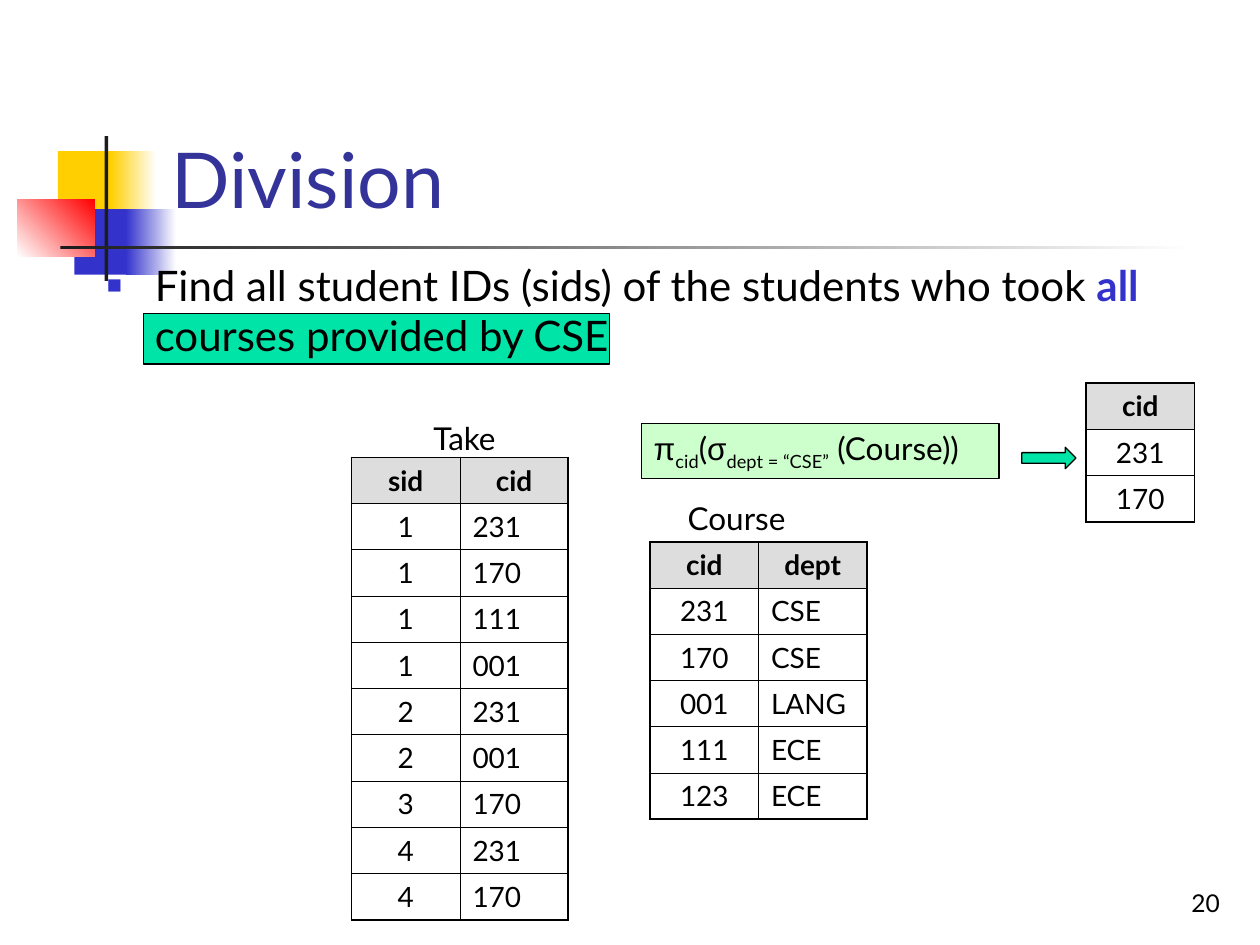
from dataclasses import dataclass
from typing import Optional

from lxml import etree
from pptx import Presentation
from pptx.dml.color import RGBColor
from pptx.enum.shapes import MSO_SHAPE
from pptx.enum.text import MSO_ANCHOR, MSO_AUTO_SIZE, PP_ALIGN
from pptx.oxml.ns import qn
from pptx.util import Inches, Pt

RECTANGLE, RIGHT_ARROW = MSO_SHAPE.RECTANGLE, MSO_SHAPE.RIGHT_ARROW
LEFT, CENTER, RIGHT = PP_ALIGN.LEFT, PP_ALIGN.CENTER, PP_ALIGN.RIGHT
TOP, BOTTOM = MSO_ANCHOR.TOP, MSO_ANCHOR.BOTTOM
NO_AUTOFIT = MSO_AUTO_SIZE.NONE


@dataclass(frozen=True)
class Theme:
    font: str = "Lato"
    greek_font: str = "Arial"
    black: str = "000000"
    white: str = "FFFFFF"
    title: str = "333399"
    blue: str = "3333CC"
    yellow: str = "FFCF01"
    red: str = "FF0000"
    charcoal: str = "1C1C1C"
    teal: str = "00E4A8"
    mint: str = "CCFFCC"
    header: str = "DDDDDD"
    title_size: float = 44
    body_size: float = 24
    label_size: float = 18
    cell_size: float = 16
    number_size: float = 14
    outline: float = 0.75
    outer_border: float = 1.08
    inner_border: float = 0.45


THEME = Theme()


@dataclass(frozen=True)
class Box:
    left: float
    top: float
    width: float
    height: float

    def lengths(self) -> tuple:
        return tuple(map(Inches, (self.left, self.top, self.width, self.height)))


@dataclass(frozen=True)
class Block:
    box: Box
    color: str
    fade_to: Optional[str] = None
    angle: float = 0
    outlined: bool = False
    preset: int = RECTANGLE


@dataclass(frozen=True)
class Span:
    text: str
    color: str = THEME.black
    bold: bool = False
    font: str = THEME.font
    subscript: bool = False


@dataclass(frozen=True)
class Relation:
    box: Box
    header: tuple
    rows: tuple


# Corner ornament and title rule
ORNAMENT = (
    Block(Box(0.46, 1.2, 0.48, 0.52), THEME.yellow),
    Block(Box(0.88, 1.2, 0.36, 0.52), THEME.yellow, THEME.white),
    Block(Box(0.59, 1.66, 0.46, 0.52), THEME.blue),
    Block(Box(1, 1.66, 0.4, 0.52), THEME.blue, THEME.white),
    Block(Box(0.14, 1.58, 0.61, 0.46), THEME.white, THEME.red, angle=45),
    Block(Box(0.83, 1.08, 0.03, 1.15), THEME.charcoal),
    Block(Box(0.48, 1.95, 9, 0.03), THEME.charcoal, THEME.white),
)
COURSES_HIGHLIGHT = Block(Box(1.14, 2.49, 3.7, 0.4), THEME.teal, outlined=True)
FORMULA_BOX = Block(Box(5.09, 3.36, 2.84, 0.44), THEME.mint, outlined=True)
RESULT_ARROW = Block(Box(8.11, 3.55, 0.43, 0.17), THEME.teal, outlined=True, preset=RIGHT_ARROW)

QUESTION = (
    Span("Find all student IDs (sids) of the students who took "),
    Span("all", THEME.blue, bold=True),
    Span(" courses provided by CSE"),
)
FORMULA = (
    Span("π", font=THEME.greek_font),
    Span("cid", subscript=True),
    Span("("),
    Span("σ", font=THEME.greek_font),
    Span("dept = “CSE”", subscript=True),
    Span(" (Course))"),
)
TAKE = Relation(Box(2.79, 3.63, 1.72, 3.67), ("sid", "cid"), (
    ("1", "231"), ("1", "170"), ("1", "111"), ("1", "001"), ("2", "231"),
    ("2", "001"), ("3", "170"), ("4", "231"), ("4", "170")))
COURSE = Relation(Box(5.16, 4.3, 1.72, 2.2), ("cid", "dept"), (
    ("231", "CSE"), ("170", "CSE"), ("001", "LANG"), ("111", "ECE"), ("123", "ECE")))
CSE_COURSES = Relation(Box(8.62, 3.04, 0.86, 1.1), ("cid",), (("231",), ("170",)))


def rgb(color: str) -> RGBColor:
    return RGBColor.from_string(color)


def draw_block(slide, block: Block):
    shape = slide.shapes.add_shape(block.preset, *block.box.lengths())
    shape.shadow.inherit = False
    if block.fade_to:
        shape.fill.gradient()
        shape.fill.gradient_angle = block.angle
        for stop, color in zip(shape.fill.gradient_stops, (block.color, block.fade_to)):
            stop.color.rgb = rgb(color)
    else:
        shape.fill.solid()
        shape.fill.fore_color.rgb = rgb(block.color)
    if block.outlined:
        shape.line.color.rgb = rgb(THEME.black)
        shape.line.width = Pt(THEME.outline)
    else:
        shape.line.fill.background()
    return shape


def write_spans(paragraph, spans: tuple, size: float, align=LEFT) -> None:
    paragraph.alignment = align
    for span in spans:
        run = paragraph.add_run()
        run.text = span.text
        run.font.name, run.font.size, run.font.bold = span.font, Pt(size), span.bold
        run.font.color.rgb = rgb(span.color)
        if span.subscript:
            run.font._element.set("baseline", "-25000")


def draw_text(slide, box: Box, spans: tuple, size: float, align=LEFT, anchor=TOP, wrap=True):
    frame = slide.shapes.add_textbox(*box.lengths()).text_frame
    frame.word_wrap = wrap
    frame.vertical_anchor = anchor
    write_spans(frame.paragraphs[0], spans, size, align)
    return frame.paragraphs[0]


def add_square_bullet(paragraph, color: str) -> None:
    properties = paragraph._p.get_or_add_pPr()
    properties.set("marL", str(Inches(0.38)))
    properties.set("indent", str(-Inches(0.38)))
    bullet_color = etree.SubElement(properties, qn("a:buClr"))
    etree.SubElement(bullet_color, qn("a:srgbClr"), val=color)
    etree.SubElement(properties, qn("a:buSzPct"), val="60000")
    etree.SubElement(properties, qn("a:buFont"), typeface=THEME.greek_font)
    etree.SubElement(properties, qn("a:buChar"), char="■")


def set_border(cell, side: str, width: float) -> None:
    line = etree.SubElement(cell._tc.get_or_add_tcPr(), qn(f"a:ln{side}"), w=str(Pt(width)))
    fill = etree.SubElement(line, qn("a:solidFill"))
    etree.SubElement(fill, qn("a:srgbClr"), val=THEME.black)


def draw_relation(slide, relation: Relation) -> None:
    records = (relation.header, *relation.rows)
    last_row, last_column = len(records) - 1, len(relation.header) - 1
    table = slide.shapes.add_table(last_row + 1, last_column + 1, *relation.box.lengths()).table
    table.first_row = table.horz_banding = False
    for r, record in enumerate(records):
        for c, value in enumerate(record):
            cell = table.cell(r, c)
            is_header = r == 0
            write_spans(cell.text_frame.paragraphs[0], (Span(value, bold=is_header),),
                        THEME.cell_size, CENTER if is_header or c == 0 else LEFT)
            # Heavy frame outside, thin rules inside
            edges = {"L": c == 0, "R": c == last_column, "T": is_header, "B": r == last_row}
            for side, outer in edges.items():
                set_border(cell, side, THEME.outer_border if outer else THEME.inner_border)
            if is_header:
                cell.fill.solid()
                cell.fill.fore_color.rgb = rgb(THEME.header)
            else:
                cell.fill.background()


def draw_title(slide, box: Box, text: str) -> None:
    title = slide.shapes.title
    title.left, title.top, title.width, title.height = box.lengths()
    frame = title.text_frame
    frame.auto_size, frame.vertical_anchor = NO_AUTOFIT, BOTTOM
    write_spans(frame.paragraphs[0], (Span(text, THEME.title),), THEME.title_size)
    slide.shapes._spTree.append(title._element)  # in front of the ornament


def main() -> None:
    deck = Presentation()
    deck.slide_width, deck.slide_height = Inches(10), Inches(7.5)
    slide = deck.slides.add_slide(deck.slide_layouts[5])

    # Ornament, title and question
    for block in (*ORNAMENT, COURSES_HIGHLIGHT):
        draw_block(slide, block)
    draw_title(slide, Box(1.26, 0.23, 8.52, 1.6), "Division")
    question = draw_text(slide, Box(0.75, 2.01, 8.82, 4.5), QUESTION, THEME.body_size)
    add_square_bullet(question, THEME.blue)

    # Relations and their captions
    for relation in (TAKE, COURSE, CSE_COURSES):
        draw_relation(slide, relation)
    for caption, box in (("Take", Box(3.34, 3.28, 0.75, 0.4)),
                         ("Course", Box(5.36, 3.91, 1.03, 0.4))):
        draw_text(slide, box, (Span(caption),), THEME.label_size, wrap=False)

    # Algebra expression leading to its result
    formula = draw_block(slide, FORMULA_BOX).text_frame
    formula.word_wrap, formula.vertical_anchor = True, TOP
    write_spans(formula.paragraphs[0], FORMULA, THEME.label_size)
    draw_block(slide, RESULT_ARROW)

    # Slide number
    draw_text(slide, Box(7.7, 6.83, 2.08, 0.5), (Span("20"),), THEME.number_size, RIGHT, BOTTOM)
    deck.save("out.pptx")


if __name__ == "__main__":
    main()
